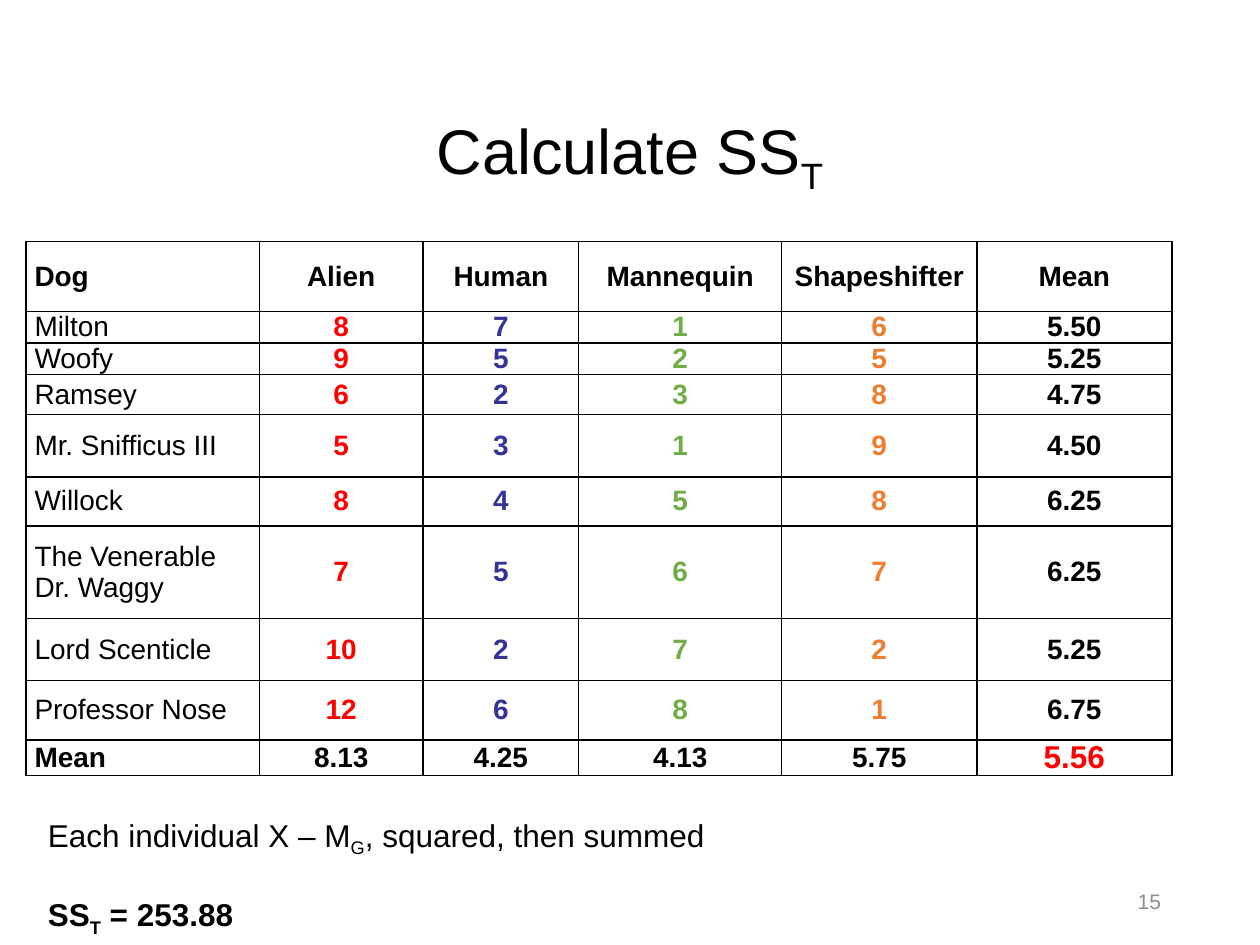
from dataclasses import dataclass

from lxml.etree import SubElement
from pptx import Presentation
from pptx.dml.color import RGBColor
from pptx.enum.text import MSO_ANCHOR as Anchor, MSO_AUTO_SIZE as AutoSize, PP_ALIGN as Align
from pptx.oxml.ns import qn
from pptx.util import Pt

BLACK = RGBColor(0x00, 0x00, 0x00)
RED = RGBColor(0xFF, 0x00, 0x00)
INDIGO = RGBColor(0x33, 0x33, 0x99)
GREEN = RGBColor(0x70, 0xAD, 0x47)
ORANGE = RGBColor(0xED, 0x7D, 0x31)
GRAY = RGBColor(0x8C, 0x8C, 0x8C)

COLUMN_WIDTHS = [133.5, 93.5, 89, 116, 111.5, 111.5]
ROW_HEIGHTS = [40, 18, 18, 23, 35.5, 28, 53, 35.5, 34, 18]
COLUMN_COLORS = [BLACK, RED, INDIGO, GREEN, ORANGE, BLACK]
ROWS = [
    ["Dog", "Alien", "Human", "Mannequin", "Shapeshifter", "Mean"],
    ["Milton", "8", "7", "1", "6", "5.50"],
    ["Woofy", "9", "5", "2", "5", "5.25"],
    ["Ramsey", "6", "2", "3", "8", "4.75"],
    ["Mr. Snifficus III", "5", "3", "1", "9", "4.50"],
    ["Willock", "8", "4", "5", "8", "6.25"],
    ["The Venerable Dr. Waggy", "7", "5", "6", "7", "6.25"],
    ["Lord Scenticle", "10", "2", "7", "2", "5.25"],
    ["Professor Nose", "12", "6", "8", "1", "6.75"],
    ["Mean", "8.13", "4.25", "4.13", "5.75", "5.56"],
]


@dataclass
class Span:
    text: str
    size: float = 18
    color: RGBColor = BLACK
    bold: bool = False
    subscript: bool = False


@dataclass
class Box:
    left: float
    top: float
    width: float
    height: float


def add_spans(para, spans: list[Span]) -> None:
    for span in spans:
        run = para.add_run()
        run.text = span.text
        formats = {"name": "Arial", "size": Pt(span.size), "bold": span.bold}
        for name, value in formats.items():
            setattr(run.font, name, value)
        run.font.color.rgb = span.color
        if span.subscript:
            run.font._element.set("baseline", "-25000")


def place(shape, box: Box) -> None:
    for name in ("left", "top", "width", "height"):
        setattr(shape, name, Pt(getattr(box, name)))


def add_text(page, box: Box, anchor: Anchor, auto_size: AutoSize):
    shape = page.shapes.add_textbox(0, 0, 0, 0)
    frame = shape.text_frame
    frame.word_wrap = True
    frame.vertical_anchor = anchor
    frame.auto_size = auto_size
    place(shape, box)
    return frame


def outline_cell(cell) -> None:
    properties = cell._tc.get_or_add_tcPr()
    for side in ("a:lnL", "a:lnR", "a:lnT", "a:lnB"):
        line = SubElement(properties, qn(side), w=str(Pt(1)))
        fill = SubElement(line, qn("a:solidFill"))
        SubElement(fill, qn("a:srgbClr"), val=str(BLACK))


def cell_span(row: int, column: int) -> Span:
    """Scores take their column's colour; the grand mean stands out."""
    last_row, last_column = len(ROWS) - 1, len(COLUMN_WIDTHS) - 1
    text = ROWS[row][column]
    if (row, column) == (last_row, last_column):
        return Span(text, 18, RED, True)
    if row in (0, last_row):
        return Span(text, 16, BLACK, True)
    return Span(text, 16, COLUMN_COLORS[column], column > 0)


def add_score_table(page, left: float, top: float) -> None:
    frame = page.shapes.add_table(
        len(ROWS), len(COLUMN_WIDTHS), Pt(left), Pt(top),
        Pt(sum(COLUMN_WIDTHS)), Pt(sum(ROW_HEIGHTS)))
    table = frame.table
    table.first_row = table.horz_banding = False
    for column, width in zip(table.columns, COLUMN_WIDTHS):
        column.width = Pt(width)
    for row, height in zip(table.rows, ROW_HEIGHTS):
        row.height = Pt(height)
    formats = {"vertical_anchor": Anchor.MIDDLE, "margin_left": Pt(5), "margin_right": Pt(5),
               "margin_top": 0, "margin_bottom": 0}
    for row in range(len(ROWS)):
        for column in range(len(COLUMN_WIDTHS)):
            cell = table.cell(row, column)
            for name, value in formats.items():
                setattr(cell, name, value)
            outline_cell(cell)
            cell.fill.background()
            para = cell.text_frame.paragraphs[0]
            para.alignment = Align.CENTER if column else Align.LEFT
            add_spans(para, [cell_span(row, column)])


def main() -> None:
    deck = Presentation()
    deck.slide_width, deck.slide_height = Pt(720), Pt(540)
    page = deck.slides.add_slide(deck.slide_layouts[5])

    title = page.shapes.title
    place(title, Box(49.5, 34, 621, 104.5))
    title.text_frame.vertical_anchor = Anchor.MIDDLE
    title.text_frame.auto_size = AutoSize.NONE
    heading = title.text_frame.paragraphs[0]
    heading.alignment = Align.CENTER
    heading.line_spacing = 0.9
    add_spans(heading, [Span("Calculate SS", 36), Span("T", 36, subscript=True)])

    add_score_table(page, 14.75, 138)

    number = add_text(page, Box(508.5, 500.5, 162, 28.75), Anchor.MIDDLE, AutoSize.NONE)
    number.paragraphs[0].alignment = Align.RIGHT
    add_spans(number.paragraphs[0], [Span("15", 12, GRAY)])

    notes = add_text(page, Box(20.25, 462.5, 519, 65.5), Anchor.TOP, AutoSize.SHAPE_TO_FIT_TEXT)
    add_spans(notes.paragraphs[0], [
        Span("Each individual X – M"), Span("G", subscript=True),
        Span(", squared, then summed")])
    result = notes.add_paragraph()
    result.space_before = Pt(20.7)
    add_spans(result, [
        Span("SS", bold=True), Span("T", bold=True, subscript=True),
        Span(" = 253.88", bold=True)])

    deck.save("out.pptx")


if __name__ == "__main__":
    main()
